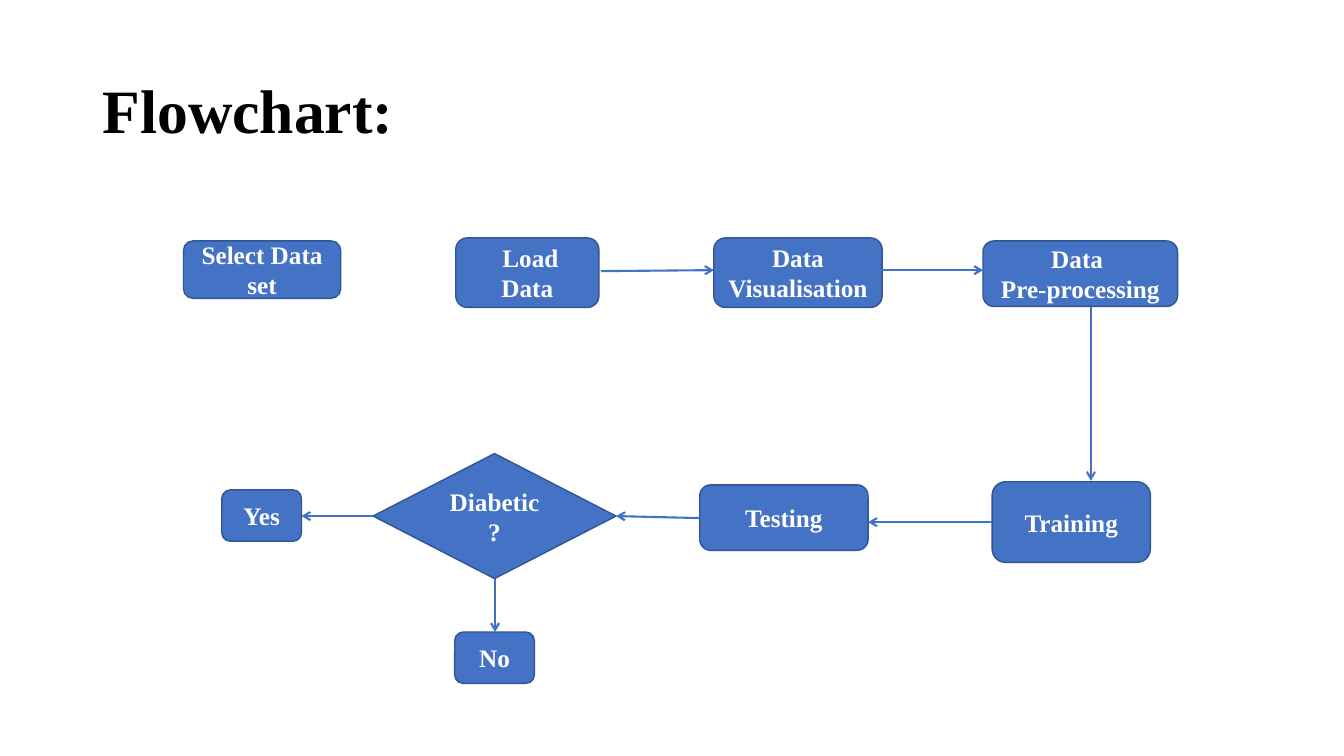
"""Build the flowchart slide of a diabetes prediction workflow."""
from lxml.etree import SubElement
from pptx import Presentation
from pptx.dml.color import RGBColor
from pptx.enum.shapes import MSO_CONNECTOR, MSO_SHAPE
from pptx.enum.text import MSO_ANCHOR, PP_ALIGN
from pptx.oxml.ns import qn
from pptx.util import Inches, Pt

TITLE = ("Flowchart:", (0.92, 0.4, 11.5, 1.45))
ROUNDED, DECISION = MSO_SHAPE.ROUNDED_RECTANGLE, MSO_SHAPE.FLOWCHART_DECISION
STEPS = [
    (["Select Data set"], ROUNDED, (1.82, 2.39, 1.56, 0.57), "outline"),
    ([" Load Data"], ROUNDED, (4.52, 2.36, 1.42, 0.69), "top_outline"),
    (["Data Visualisation"], ROUNDED, (7.08, 2.36, 1.67, 0.69), "top_outline"),
    (["Data ", "Pre-processing"], ROUNDED, (9.75, 2.39, 1.93, 0.65), "top_outline"),
    (["Training"], ROUNDED, (9.84, 4.78, 1.57, 0.8), "outline"),
    (["Testing"], ROUNDED, (6.94, 4.81, 1.67, 0.65), "outline"),
    (["Diabetic?"], DECISION, (3.7, 4.5, 2.41, 1.24), "outline"),
    (["Yes"], ROUNDED, (2.2, 4.86, 0.79, 0.51), "outline"),
    (["No"], ROUNDED, (4.51, 6.27, 0.79, 0.51), "outline"),
]
ARROWS = [
    (5.96, 2.69, 7.08, 2.68),
    (8.63, 2.68, 9.75, 2.68),
    (10.82, 3.05, 10.82, 4.77),
    (9.84, 5.18, 8.61, 5.18),
    (6.94, 5.14, 6.11, 5.12),
    (3.7, 5.12, 2.99, 5.12),
    (4.91, 5.74, 4.91, 6.27),
]
THEME = {
    "font": "Times New Roman",
    "title": RGBColor.from_string("000000"),
    "label": RGBColor.from_string("FFFFFF"),
    "fill": RGBColor.from_string("4472C4"),
    "outline": RGBColor.from_string("2F5597"),
    "top_outline": RGBColor.from_string("325491"),
    "title_size": Pt(44),
    "label_size": Pt(18),
    "outline_width": Pt(1),
    "arrow_width": Pt(1.5),
}


def write_text(shape, lines, role, paragraph_format):
    """Fill a shape with bold paragraphs in the style of the given role."""
    frame = shape.text_frame
    frame.word_wrap = True
    frame.vertical_anchor = MSO_ANCHOR.MIDDLE
    frame.text = "\n".join(lines)
    font_format = {"name": THEME["font"], "size": THEME[f"{role}_size"], "bold": True}
    for paragraph in frame.paragraphs:
        for name, value in paragraph_format.items():
            setattr(paragraph, name, value)
        for run in paragraph.runs:
            for name, value in font_format.items():
                setattr(run.font, name, value)
            run.font.color.rgb = THEME[role]


def add_step(slide, lines, kind, box, outline):
    """Add one flowchart step."""
    shape = slide.shapes.add_shape(kind, *map(Inches, box))
    shape.shadow.inherit = False
    shape.fill.solid()
    shape.fill.fore_color.rgb = THEME["fill"]
    shape.line.color.rgb = THEME[outline]
    shape.line.width = THEME["outline_width"]
    write_text(shape, lines, "label", {"alignment": PP_ALIGN.CENTER})


def add_arrow(slide, ends):
    """Add a straight line with an open arrowhead at its end."""
    connector = slide.shapes.add_connector(MSO_CONNECTOR.STRAIGHT, *map(Inches, ends))
    connector.line.color.rgb = THEME["fill"]
    connector.line.width = THEME["arrow_width"]
    SubElement(connector.line._get_or_add_ln(), qn("a:tailEnd"), type="arrow")
    SubElement(connector._element.spPr, qn("a:effectLst"))


def main():
    """Create the presentation and save it."""
    presentation = Presentation()
    presentation.slide_width, presentation.slide_height = Inches(13.33), Inches(7.5)
    slide = presentation.slides.add_slide(presentation.slide_layouts[6])
    heading, heading_box = TITLE
    title = slide.shapes.add_textbox(*map(Inches, heading_box))
    write_text(title, [heading], "title", {"line_spacing": 0.9})
    for step in STEPS:
        add_step(slide, *step)
    for ends in ARROWS:
        add_arrow(slide, ends)
    presentation.save("out.pptx")


if __name__ == "__main__":
    main()
